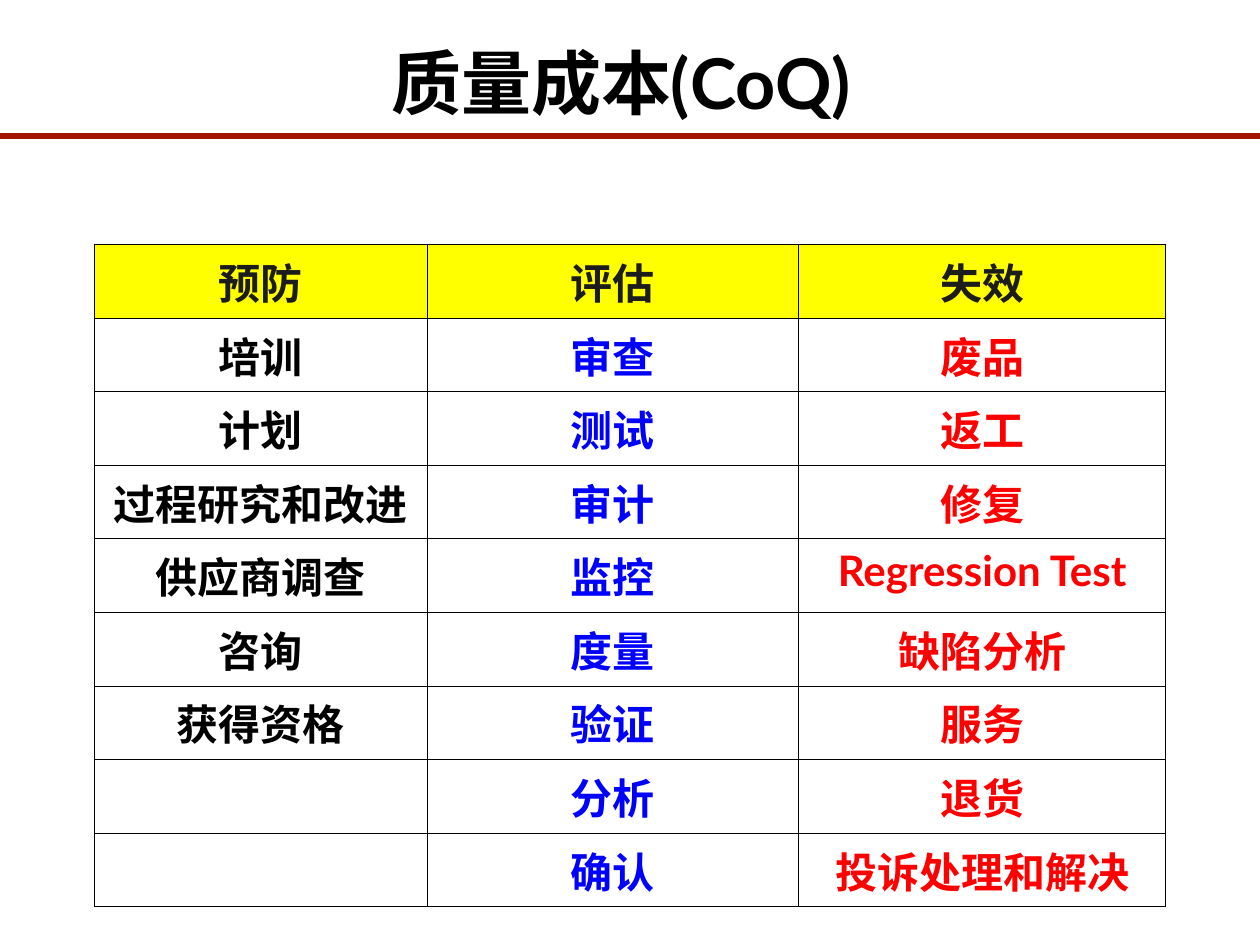
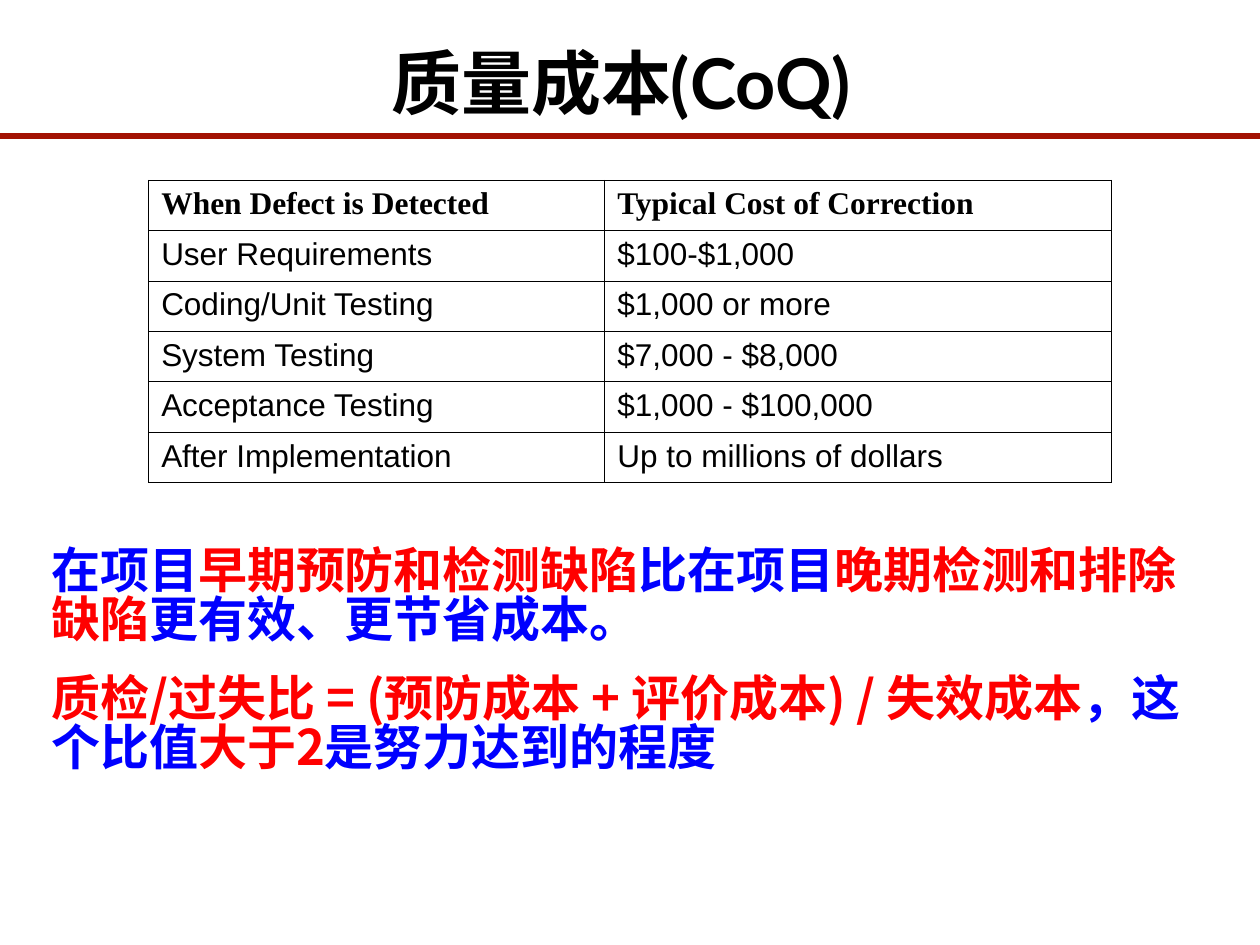
from lxml import etree
from pptx import Presentation
from pptx.dml.color import RGBColor
from pptx.enum.shapes import MSO_CONNECTOR
from pptx.enum.text import MSO_ANCHOR, PP_ALIGN
from pptx.oxml.ns import qn
from pptx.util import Inches, Pt

STRAIGHT = MSO_CONNECTOR.STRAIGHT
TOP = MSO_ANCHOR.TOP
CENTER = PP_ALIGN.CENTER

BLACK = RGBColor(0x00, 0x00, 0x00)
CHARCOAL = RGBColor(0x1C, 0x1C, 0x1C)
BLUE = RGBColor(0x00, 0x00, 0xFF)
RED = RGBColor(0xFF, 0x00, 0x00)
YELLOW = RGBColor(0xFF, 0xFF, 0x00)
DARK_RED = RGBColor(0xA3, 0x12, 0x03)

HAN_FONT = "Noto Sans CJK SC"
THIN, THICK = 0.45, 1.08


def add_run(paragraph, text, font, size, color, bold=True):
    run = paragraph.add_run()
    run.text = text
    run.font.name = font
    run.font.size = Pt(size)
    run.font.bold = bold
    run.font.color.rgb = color
    east_asian = etree.SubElement(run.font._element, qn("a:ea"))
    east_asian.set("typeface", HAN_FONT)


def add_grid(slide, left, top, widths, row_height, row_count, edge):
    """Add an unfilled table with thin inner lines and outer lines of width edge."""
    grid = slide.shapes.add_table(
        row_count, len(widths), Inches(left), Inches(top),
        Inches(sum(widths)), Inches(row_height * row_count)).table
    for column, width in zip(grid.columns, widths):
        column.width = Inches(width)
    for r in range(row_count):
        for c in range(len(widths)):
            cell = grid.cell(r, c)
            cell.fill.background()
            sides = {"a:lnL": c == 0, "a:lnR": c == len(widths) - 1,
                     "a:lnT": r == 0, "a:lnB": r == row_count - 1}
            for position, (side, is_outer) in enumerate(sides.items()):
                line = etree.Element(qn(side))
                line.set("w", str(Pt(edge if is_outer else THIN)))
                fill = etree.SubElement(line, qn("a:solidFill"))
                etree.SubElement(fill, qn("a:srgbClr")).set("val", str(BLACK))
                cell._tc.get_or_add_tcPr().insert(position, line)
    return grid


prs = Presentation()
prs.slide_width, prs.slide_height = Inches(10), Inches(7.5)

# Shared layout: title position
layout = prs.slide_layouts[5]
layout_title = layout.placeholders[0]
layout_title.left, layout_title.top = Inches(0.67), Inches(0.31)
layout_title.width, layout_title.height = Inches(8.52), Inches(0.8)

category_slide = prs.slides.add_slide(layout)
correction_slide = prs.slides.add_slide(layout)

# Shared layout: red rule under the title
rule = category_slide.shapes.add_connector(
    STRAIGHT, Inches(0), Inches(1.08), Inches(10), Inches(1.08))
rule.line.color.rgb = DARK_RED
rule.line.width = Pt(3)
etree.SubElement(rule.element.spPr, qn("a:effectLst"))
layout.shapes.element.append(rule.element)

# Titles
for slide in (category_slide, correction_slide):
    heading = slide.shapes.title.text_frame
    heading.vertical_anchor = TOP
    heading.margin_top = heading.margin_bottom = 0
    heading.paragraphs[0].alignment = CENTER
    add_run(heading.paragraphs[0], "质量成本(CoQ)", "Lato", 40, BLACK)

# Slide 1: cost categories, one column each
categories = [
    ("预防", BLACK, ["培训", "计划", "过程研究和改进", "供应商调查", "咨询", "获得资格"]),
    ("评估", BLUE, ["审查", "测试", "审计", "监控", "度量", "验证", "分析", "确认"]),
    ("失效", RED, ["废品", "返工", "修复", "Regression Test", "缺陷分析", "服务",
                 "退货", "投诉处理和解决"]),
]
category_grid = add_grid(category_slide, 0.75, 1.94, [2.64, 2.95, 2.91], 0.5, 9, THICK)
for c, (category, color, activities) in enumerate(categories):
    header = category_grid.cell(0, c)
    header.fill.solid()
    header.fill.fore_color.rgb = YELLOW
    for r, text in enumerate([category] + activities):
        paragraph = category_grid.cell(r, c).text_frame.paragraphs[0]
        paragraph.alignment = CENTER
        paragraph.space_before = Pt(6)
        font = "Lato" if text.isascii() else HAN_FONT
        add_run(paragraph, text, font, 24, color if r else CHARCOAL)

# Slide 2: cost of correction by phase
corrections = [
    ("When Defect is Detected", "Typical Cost of Correction"),
    ("User Requirements", "$100-$1,000"),
    ("Coding/Unit Testing", "$1,000 or more"),
    ("System Testing", "$7,000 - $8,000"),
    ("Acceptance Testing", "$1,000 - $100,000"),
    ("After Implementation", "Up to millions of dollars"),
]
correction_grid = add_grid(
    correction_slide, 1.18, 1.43, [3.62, 4.02], 0.4, len(corrections), THIN)
for r, row in enumerate(corrections):
    for c, text in enumerate(row):
        add_run(correction_grid.cell(r, c).text_frame.paragraphs[0], text,
                "Arial" if r else "Times New Roman", 18, BLACK, bold=r == 0)

# Slide 2: conclusions
conclusions = [
    [("在项目", BLUE), ("早期预防和检测缺陷", RED), ("比在项目", BLUE),
     ("晚期检测和排除缺陷", RED), ("更有效、更节省成本。", BLUE)],
    [("质检/过失比 = (预防成本 + 评价成本) / 失效成本", RED), ("，这个比值", BLUE),
     ("大于2", RED), ("是努力达到的程度", BLUE)],
]
summary = correction_slide.shapes.add_textbox(
    Inches(0.31), Inches(4.26), Inches(9.3), Inches(2.21)).text_frame
summary.word_wrap = True
summary.margin_top = Inches(0.1)
for i, pieces in enumerate(conclusions):
    paragraph = summary.add_paragraph() if i else summary.paragraphs[0]
    paragraph.space_before = Pt(17.5)
    paragraph.line_spacing = 0.83
    for text, color in pieces:
        add_run(paragraph, text, HAN_FONT, 28, color)

prs.save("out.pptx")
